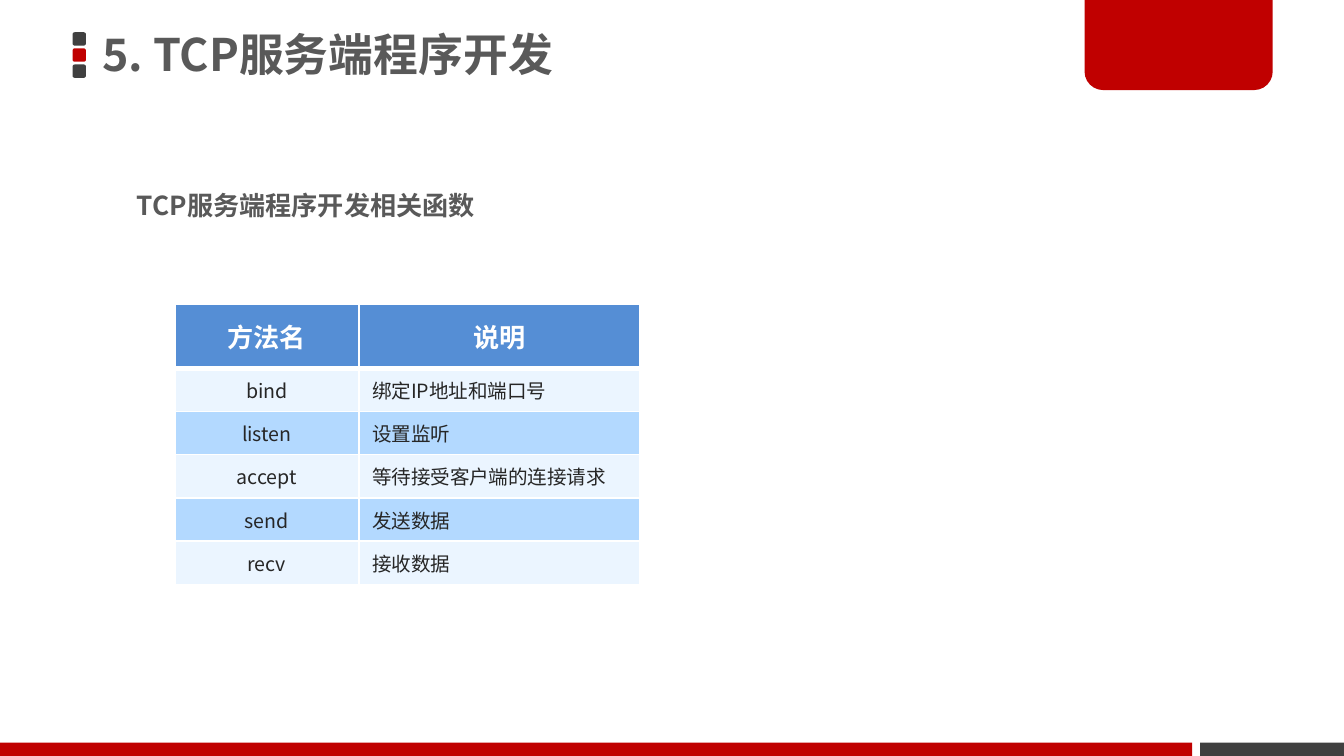
import pptx
import pptx.dml.color
import pptx.enum.shapes
import pptx.enum.text
import pptx.oxml
import pptx.oxml.ns
import pptx.util
from lxml import etree

RGBColor = pptx.dml.color.RGBColor
Shape = pptx.enum.shapes.MSO_SHAPE
Align = pptx.enum.text.PP_ALIGN
Anchor = pptx.enum.text.MSO_ANCHOR
Inches = pptx.util.Inches
Pt = pptx.util.Pt
qn = pptx.oxml.ns.qn

WIDTH = 10
HEIGHT = WIDTH * 9 / 16
FONT = "Noto Sans CJK SC"
RED = RGBColor(0xC0, 0x00, 0x00)
CHARCOAL = RGBColor(0x40, 0x40, 0x40)
GRAY = RGBColor(0x59, 0x59, 0x59)
INK = RGBColor(0x26, 0x26, 0x26)
WHITE = RGBColor(0xFF, 0xFF, 0xFF)
HEADER_BLUE = RGBColor(0x55, 0x8E, 0xD5)
PALE_BLUE = RGBColor(0xEB, 0xF5, 0xFF)
LIGHT_BLUE = RGBColor(0xB3, 0xD9, 0xFF)

FUNCTIONS = [
    ("方法名", "说明"),
    ("bind", "绑定IP地址和端口号"),
    ("listen", "设置监听"),
    ("accept", "等待接受客户端的连接请求"),
    ("send", "发送数据"),
    ("recv", "接收数据"),
]


def write_text(frame, text, size, color, bold=False, align=Align.LEFT, spacing=None):
    """Fill the first paragraph of a text frame with one formatted span."""
    para = frame.paragraphs[0]
    para.alignment = align
    if spacing:
        para.line_spacing = spacing
    span = para.add_run()
    span.text = text
    span.font.size = Pt(size)
    span.font.bold = bold
    span.font.color.rgb = color
    span.font.name = FONT
    etree.SubElement(span.font._element, qn("a:ea"), typeface=FONT)


def add_block(page, kind, box, color, adjustments=()):
    block = page.shapes.add_shape(kind, *map(Inches, box))
    block.shadow.inherit = False
    block.fill.solid()
    block.fill.fore_color.rgb = color
    block.line.fill.background()
    for index, value in enumerate(adjustments):
        block.adjustments[index] = value


def add_label(page, box, text, anchor=Anchor.TOP, margins=(0.1, 0.05), **style):
    frame = page.shapes.add_textbox(*map(Inches, box)).text_frame
    frame.word_wrap = True
    frame.vertical_anchor = anchor
    frame.margin_left = frame.margin_right = Inches(margins[0])
    frame.margin_top = frame.margin_bottom = Inches(margins[1])
    write_text(frame, text, **style)


def set_borders(cell, **widths):
    """Draw white cell borders; widths are in points, by side."""
    properties = cell._tc.get_or_add_tcPr()
    for index, (side, width) in enumerate(widths.items()):
        line = pptx.oxml.parse_xml(
            f'<a:{side} xmlns:a="http://schemas.openxmlformats.org/drawingml/2006/main" '
            f'w="{Pt(width)}"><a:solidFill><a:srgbClr val="{WHITE}"/></a:solidFill></a:{side}>')
        properties.insert(index, line)


def add_header(page, box):
    left, top, width, height = box
    # Three stacked squares beside the title
    for row, color in enumerate((CHARCOAL, RED, CHARCOAL)):
        add_block(page, Shape.ROUNDED_RECTANGLE,
                  (left + 0.54, top + 0.24 + row * 0.12, 0.1, 0.1), color, [0.167])
    # Tab hanging from the top edge, rounded at the bottom
    add_block(page, Shape.ROUND_2_SAME_RECTANGLE,
              (left + width - 1.93, top - 0.02, 1.4, 0.69), RED, [0, 0.2])
    add_label(page, (left + 0.69, top - 0.02, 5.89, height), "5. TCP服务端程序开发",
              anchor=Anchor.MIDDLE, margins=(0.07, 0.04),
              size=24, color=GRAY, bold=True, spacing=0.9)


def add_footer(page, box):
    left, top, width, height = box
    gap, end_width = 0.06, 1.07
    add_block(page, Shape.RECTANGLE, (left, top, width - end_width - gap, height), RED)
    add_block(page, Shape.RECTANGLE,
              (left + width - end_width, top, end_width, height), CHARCOAL)


def add_function_table(page, box):
    left, top, width, height = box
    header_height, name_width = 0.48, 1.37
    row_height = (height - header_height) / (len(FUNCTIONS) - 1)
    table = page.shapes.add_table(len(FUNCTIONS), 2, *map(Inches, box)).table
    table.columns[0].width = Inches(name_width)
    table.columns[1].width = Inches(width - name_width)

    for row, texts in enumerate(FUNCTIONS):
        is_header = row == 0
        table.rows[row].height = Inches(header_height if is_header else row_height)
        for column, text in enumerate(texts):
            cell = table.cell(row, column)
            cell.fill.solid()
            if is_header:
                cell.fill.fore_color.rgb = HEADER_BLUE
                write_text(cell.text_frame, text, size=14, color=WHITE, bold=True,
                           align=Align.CENTER, spacing=Pt(24))
            else:
                cell.fill.fore_color.rgb = PALE_BLUE if row % 2 else LIGHT_BLUE
                cell.vertical_anchor = Anchor.MIDDLE
                write_text(cell.text_frame, text, size=10.5, color=INK,
                           align=Align.LEFT if column else Align.CENTER)
            set_borders(cell, lnL=1, lnR=1, lnT=3 if row == 1 else 1,
                        lnB=3 if is_header else 1)


def main():
    deck = pptx.Presentation()
    deck.slide_width, deck.slide_height = Inches(WIDTH), Inches(HEIGHT)
    page = deck.slides.add_slide(deck.slide_layouts[6])

    add_footer(page, (0, HEIGHT - 0.1, WIDTH, 0.1))
    add_header(page, (0, 0, WIDTH, 0.89))
    add_label(page, (0.92, 1.24, 3.84, 0.45), "TCP服务端程序开发相关函数",
              size=14, color=GRAY, bold=True, spacing=1.5)
    add_function_table(page, (1.3, 2.26, 3.46, 2.09))

    deck.save("out.pptx")


if __name__ == "__main__":
    main()
